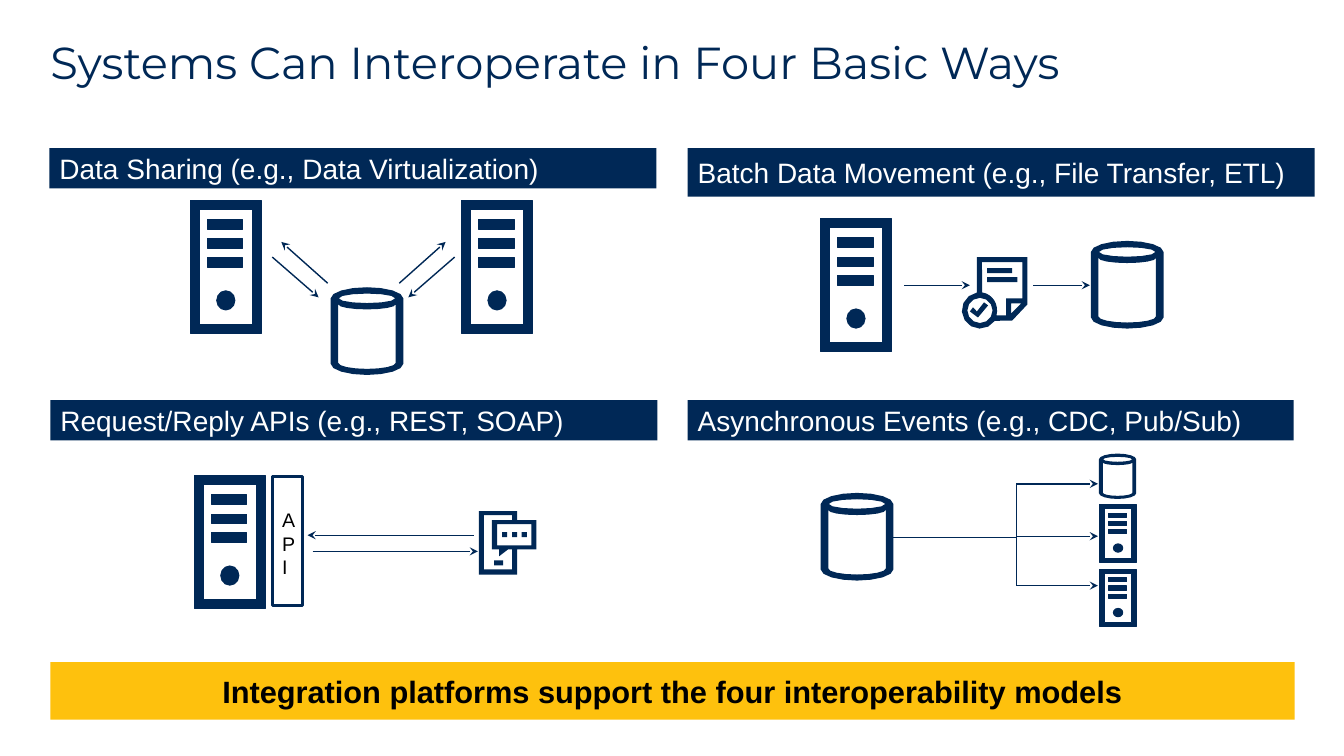
from math import cos, radians, sin

from lxml.etree import SubElement
from pptx import Presentation
from pptx.dml.color import RGBColor
from pptx.enum.shapes import MSO_CONNECTOR as Connector, MSO_SHAPE as Shape
from pptx.enum.text import MSO_ANCHOR as Anchor, MSO_AUTO_SIZE as AutoSize, PP_ALIGN as Align
from pptx.oxml.ns import qn
from pptx.util import Inches, Pt

NAVY, GOLD, WHITE, BLACK = "002856", "FEC10D", "FFFFFF", "000000"


def color(value):
    """Turn a hex string into a colour."""
    return RGBColor.from_string(value)


def rect(left, top, right, bottom):
    """Return the corners of a rectangle."""
    return [(left, top), (right, top), (right, bottom), (left, bottom)]


def arc(x, y, radius_x, radius_y, start, end, steps=8):
    """Return points along an elliptical arc, angles in degrees."""
    angles = [radians(start + (end - start) * i / steps) for i in range(steps + 1)]
    return [(x + radius_x * cos(a), y + radius_y * sin(a)) for a in angles]


def ellipse(x, y, radius_x, radius_y):
    """Return points around a whole ellipse."""
    return arc(x, y, radius_x, radius_y, 0, 330, steps=11)


# Each icon: design width and height, then outlines in hundredths of an inch.
SERVER = (70, 132, [
    rect(0, 0, 70, 132), rect(8.5, 9, 61, 122.5), ellipse(35, 99, 9, 9.5),
    *[rect(17, y, 52, y + 9.5) for y in (19, 38, 56.5)]])
DATABASE = (72, 87, [
    arc(36, 11, 36, 11, 180, 360) + arc(36, 76, 36, 11, 0, 180),
    ellipse(36, 11, 28, 4.7),
    arc(36, 17, 28.5, 5, 180, 0) + arc(36, 75, 28.5, 6, 0, 180)])
DOCUMENT = (65, 71, [
    [(15, 0), (65, 0), (65, 47), (50, 63)] + arc(18, 53, 18, 18, 35, 260),
    ellipse(18, 53, 12.5, 12.5),
    [(20, 5)] + arc(18, 53, 17, 18, 277, 376)
    + [(44, 58), (44, 41), (60, 41), (60, 5)],
    [(59, 46), (49, 46), (49, 56)],
    [(15, 54), (11, 50), (8, 54), (16, 60), (26, 48), (22, 45)],
    rect(25, 11, 50, 16), rect(25, 20, 55, 25)])
PHONE = (58, 64, [
    [(39, 10), (39, 1), (1, 1), (1, 64), (39, 64), (39, 39), (58, 39), (58, 10)],
    [(34, 59), (6, 59), (6, 5), (34, 5), (34, 10), (14, 10), (14, 39),
     (21, 39), (21, 46), (30, 39), (34, 39)],
    rect(19, 14, 53, 35), rect(16, 50, 25, 55),
    *[rect(x, 22, x + 5, 27) for x in (24, 34, 43.5)]])


def draw_icon(page, icon, left, top, width=None, height=None, outlined=False):
    """Draw an icon in navy, stretched to the given size in inches."""
    design_width, design_height, outlines = icon
    scale_x = (width or design_width / 100) / design_width
    scale_y = (height or design_height / 100) / design_height
    builder = None
    for outline in outlines:
        points = [(Inches(left + x * scale_x), Inches(top + y * scale_y))
                  for x, y in outline]
        if builder is None:
            builder = page.shapes.build_freeform(*points[0], scale=1.0)
        else:
            builder.move_to(*points[0])
        builder.add_line_segments(points[1:], close=True)
    shape = builder.convert_to_shape()
    style_shape(shape, NAVY, NAVY if outlined else None, 0.75)


def style_shape(shape, fill=None, line=None, weight=1):
    """Set fill and line, leaving out whichever is not given."""
    shape.shadow.inherit = False
    if fill:
        shape.fill.solid()
        shape.fill.fore_color.rgb = color(fill)
    else:
        shape.fill.background()
    if line:
        shape.line.color.rgb = color(line)
        shape.line.width = Pt(weight)
    else:
        shape.line.fill.background()


def add_text(shape, text, size, ink, align=Align.LEFT, bold=False,
             font="Arial", anchor=Anchor.MIDDLE):
    """Write one formatted run into a shape."""
    frame = shape.text_frame
    frame.word_wrap = True
    frame.vertical_anchor = anchor
    para = frame.paragraphs[0]
    para.alignment = align
    span = para.add_run()
    span.text = text
    span.font.name, span.font.size, span.font.bold = font, Pt(size), bold
    span.font.color.rgb = color(ink)
    return para


def add_band(page, box, text, fill=NAVY, **text_style):
    """Add a filled bar with text; box is left, top, width, height."""
    band = page.shapes.add_shape(Shape.RECTANGLE, *map(Inches, box))
    style_shape(band, fill)
    add_text(band, text, **{"size": 20, "ink": WHITE, **text_style})


def add_line(page, box, start, end, arrow=True):
    """Draw a line between two points relative to the box."""
    left, top = box[:2]
    line = page.shapes.add_connector(
        Connector.STRAIGHT, *[Inches(v) for v in (
            left + start[0], top + start[1], left + end[0], top + end[1])])
    line.line.color.rgb = color(NAVY)
    line.line.width = Pt(1)
    if arrow:
        SubElement(line.line._get_or_add_ln(), qn("a:tailEnd"), type="stealth")
    SubElement(line._element.spPr, qn("a:effectLst"))


def add_title(page, box, text):
    """Fill and place the title placeholder."""
    title = page.shapes.title
    title.left, title.top, title.width, title.height = map(Inches, box)
    frame = title.text_frame
    frame.margin_left = frame.margin_right = frame.margin_top = frame.margin_bottom = 0
    frame.auto_size = AutoSize.NONE
    add_text(title, text, 32, NAVY, font="Montserrat").line_spacing = 0.9


def add_data_sharing(page, box):
    """Two servers exchanging data through one database."""
    left, top = box[:2]
    add_band(page, box, "Data Sharing (e.g., Data Virtualization)")
    for x in (1.4, 4.09):
        draw_icon(page, SERVER, left + x, top + 0.52, outlined=True)
    draw_icon(page, DATABASE, left + 2.79, top + 1.38)
    mirror = 6.23
    for (x1, y1), (x2, y2) in [((2.21, 1.08), (2.67, 1.48)),
                               ((2.76, 1.34), (2.3, 0.93))]:
        add_line(page, box, (x1, y1), (x2, y2))
        add_line(page, box, (mirror - x1, y1), (mirror - x2, y2))


def add_batch_movement(page, box):
    """A server sending a file to a database."""
    left, top = box[:2]
    add_band(page, box, "Batch Data Movement (e.g., File Transfer, ETL)")
    draw_icon(page, SERVER, left + 1.32, top + 0.7, outlined=True)
    for x1, x2 in [(2.15, 2.8), (3.43, 3.99)]:
        add_line(page, box, (x1, 1.36), (x2, 1.36))
    draw_icon(page, DOCUMENT, left + 2.72, top + 1.08)
    draw_icon(page, DATABASE, left + 4, top + 0.92)


def add_request_reply(page, box):
    """A server whose API answers a phone."""
    left, top = box[:2]
    add_band(page, box, "Request/Reply APIs (e.g., REST, SOAP)")
    frame = page.shapes.add_shape(Shape.RECTANGLE, *map(
        Inches, (left + 2.2, top + 0.76, 0.3, 1.28)))
    style_shape(frame, line=NAVY, weight=2.25)
    label = page.shapes.add_textbox(*map(
        Inches, (left + 2.2, top + 1.02, 0.2, 0.81)))
    add_text(label, "API", 14, BLACK, Align.RIGHT, anchor=Anchor.TOP)
    label.text_frame.auto_size = AutoSize.SHAPE_TO_FIT_TEXT
    draw_icon(page, PHONE, left + 4.24, top + 1.09)
    draw_icon(page, SERVER, left + 1.43, top + 0.75, outlined=True)
    add_line(page, box, (2.6, 1.5), (4.24, 1.5))
    add_line(page, box, (4.2, 1.34), (2.55, 1.34))


def add_async_events(page, box):
    """A database publishing events to three receivers."""
    left, top = box[:2]
    add_band(page, box, "Asynchronous Events (e.g., CDC, Pub/Sub)")
    fork, branches = 3.26, (0.83, 1.35, 1.84)
    add_line(page, box, (2.03, 1.36), (fork, 1.36), arrow=False)
    add_line(page, box, (fork, branches[-1]), (fork, branches[0]), arrow=False)
    for y in branches:
        add_line(page, box, (fork, y), (4.07, y))
    for y in (1.04, 1.68):
        draw_icon(page, SERVER, left + 4.09, top + y, 0.36, 0.57, outlined=True)
    draw_icon(page, DATABASE, left + 4.08, top + 0.53, 0.37, 0.45)
    draw_icon(page, DATABASE, left + 1.32, top + 0.92)


deck = Presentation()
deck.slide_width, deck.slide_height = Inches(13.33), Inches(7.5)
page = deck.slides.add_slide(deck.slide_layouts[5])
add_title(page, (0.5, 0.4, 12.33, 0.48), "Systems Can Interoperate in Four Basic Ways")
add_request_reply(page, (0.5, 3.97, 6.02, 0.4))
add_data_sharing(page, (0.49, 1.47, 6.02, 0.4))
add_batch_movement(page, (6.82, 1.47, 6.22, 0.48))
add_async_events(page, (6.82, 3.97, 6.01, 0.4))
add_band(page, (0.5, 6.57, 12.34, 0.57),
         "Integration platforms support the four interoperability models",
         GOLD, size=22, ink=BLACK, align=Align.CENTER, bold=True)
deck.save("out.pptx")
